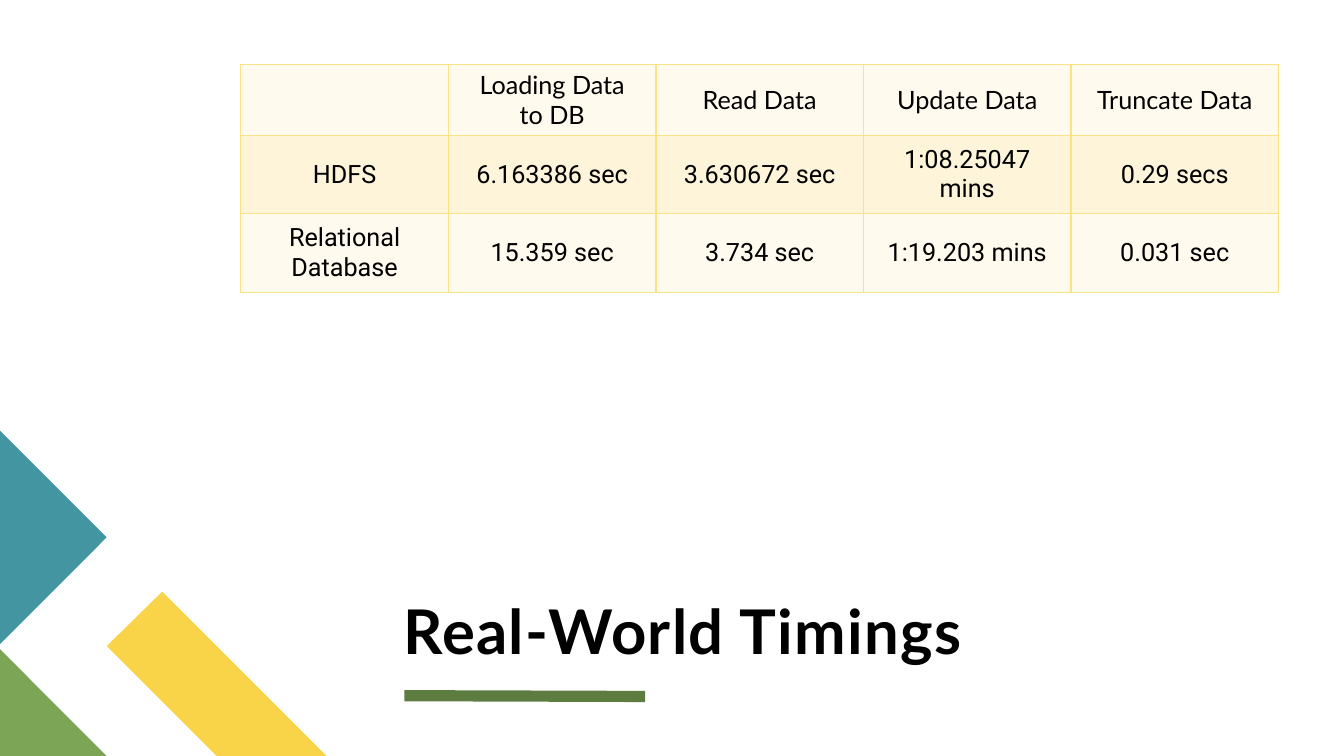
from lxml import etree
from pptx import Presentation
from pptx import util as u
from pptx.dml.color import RGBColor
from pptx.enum import shapes, text
from pptx.oxml import ns

COLORS = {
    "text": "000000",
    "teal": "4495A2",
    "yellow": "F9D448",
    "green": "7CA655",
    "rule": "5D7D40",
    "border": "FBE284",
    "row_light": "FEFAED",
    "row_dark": "FDF4D9",
}
HEADING_FONT = "Lato"
BODY_FONT = "Roboto"


def color(name):
    return RGBColor.from_string(COLORS[name])


def apply(target, values):
    for name, value in values.items():
        setattr(target, name, value)


class SlideBuilder:
    """Holds the style and the current slide."""

    def __init__(self, slide):
        self.slide = slide

    def style_text(self, frame, size, font, bold=False, **paragraph_format):
        for paragraph in frame.paragraphs:
            apply(paragraph, paragraph_format)
            for run in paragraph.runs:
                apply(run.font, {"size": u.Pt(size), "name": font, "bold": bold})
                run.font.color.rgb = color("text")

    def polygon(self, points, fill):
        corners = [(u.Cm(x), u.Cm(y)) for x, y in points]
        builder = self.slide.shapes.build_freeform(*corners[0])
        builder.add_line_segments(corners[1:], close=True)
        shape = builder.convert_to_shape()
        shape.shadow.inherit = False
        shape.fill.solid()
        shape.fill.fore_color.rgb = color(fill)
        shape.line.fill.background()

    def line(self, start, end, stroke, width):
        ends = [u.Cm(value) for value in (*start, *end)]
        connector = self.slide.shapes.add_connector(shapes.MSO_CONNECTOR.STRAIGHT, *ends)
        connector.line.color.rgb = color(stroke)
        connector.line.width = u.Pt(width)
        etree.SubElement(connector._element.spPr, ns.qn("a:effectLst"))

    def title(self, words, left, top, width, height):
        box = self.slide.shapes.add_textbox(*map(u.Cm, (left, top, width, height)))
        frame = box.text_frame
        apply(frame, {
            "word_wrap": True,
            "vertical_anchor": text.MSO_ANCHOR.BOTTOM,
            "margin_left": 0, "margin_right": 0,
            "margin_top": 0, "margin_bottom": 0,
        })
        frame.text = words
        self.style_text(frame, 44, HEADING_FONT, bold=True, line_spacing=0.8)
        # Letter spacing in hundredths of a point
        frame.paragraphs[0].runs[0].font._element.set("spc", "100")

    def cell_borders(self, cell):
        properties = cell._tc.get_or_add_tcPr()
        for side in ("lnL", "lnR", "lnT", "lnB"):
            border = etree.SubElement(properties, ns.qn(f"a:{side}"), w=str(u.Pt(1)))
            fill = etree.SubElement(border, ns.qn("a:solidFill"))
            etree.SubElement(fill, ns.qn("a:srgbClr"), val=COLORS["border"])

    def table(self, rows, left, top, column_width, row_heights):
        size = (column_width * len(rows[0]), sum(row_heights))
        frame = self.slide.shapes.add_table(
            len(rows), len(rows[0]), *map(u.Cm, (left, top, *size)))
        table = frame.table
        for column in table.columns:
            column.width = u.Cm(column_width)
        for index, (values, height) in enumerate(zip(rows, row_heights)):
            table.rows[index].height = u.Cm(height)
            for cell, value in zip(table.rows[index].cells, values):
                cell.text = value
                cell.vertical_anchor = text.MSO_ANCHOR.MIDDLE
                self.style_text(cell.text_frame, 18,
                                BODY_FONT if index else HEADING_FONT,
                                alignment=text.PP_ALIGN.CENTER)
                self.cell_borders(cell)
                cell.fill.solid()
                cell.fill.fore_color.rgb = color("row_dark" if index % 2 else "row_light")


def main():
    presentation = Presentation()
    apply(presentation, {"slide_width": u.Cm(33.87), "slide_height": u.Cm(19.05)})
    builder = SlideBuilder(presentation.slides.add_slide(presentation.slide_layouts[6]))

    # Corner decoration
    builder.polygon([(8.23, 19.05), (5.46, 19.05), (2.69, 16.28), (4.09, 14.91)], "yellow")
    builder.polygon([(2.69, 19.05), (0, 19.05), (0, 16.36)], "green")
    builder.polygon([(0, 10.85), (2.69, 13.54), (0, 16.23)], "teal")

    # Title and its underline
    builder.line((10.19, 17.53), (16.26, 17.55), "rule", 8)
    builder.title("Real-World Timings", 10.16, 12.95, 22.05, 3.84)

    # Timings table
    builder.table([
        ["", "Loading Data\nto DB", "Read Data", "Update Data", "Truncate Data"],
        ["HDFS", "6.163386 sec", "3.630672 sec", "1:08.25047 mins", "0.29 secs"],
        ["Relational Database", "15.359 sec", "3.734 sec", "1:19.203 mins", "0.031 sec"],
    ], 6.07, 1.63, 5.23, [1.42, 1.98, 1.98])

    presentation.save("out.pptx")


if __name__ == "__main__":
    main()
